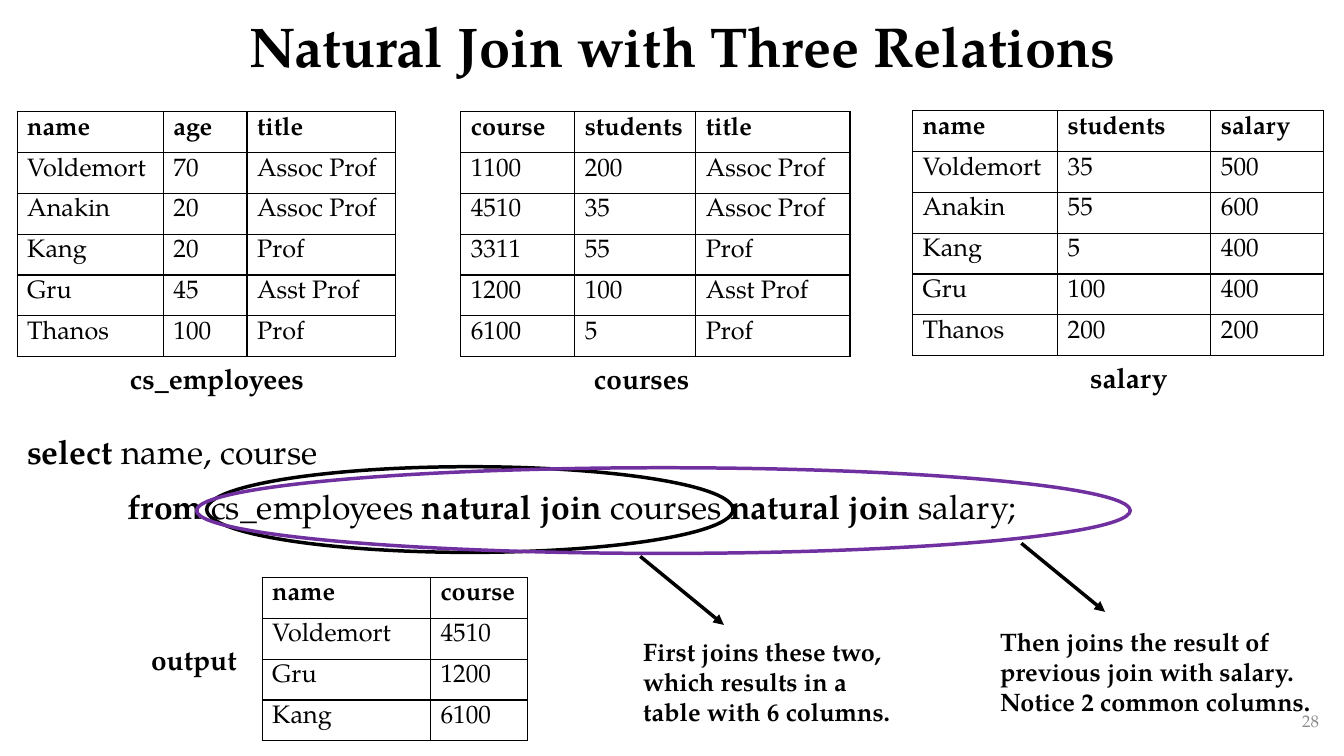
from lxml.etree import SubElement
from pptx import Presentation
from pptx.dml.color import RGBColor
from pptx.enum.shapes import MSO_CONNECTOR as Connector, MSO_SHAPE as Shape
from pptx.enum.text import MSO_ANCHOR as Anchor, PP_ALIGN as Align
from pptx.oxml.ns import qn
from pptx.util import Inches, Pt

FONT = "TeX Gyre Pagella"
BLACK, PURPLE, GRAY = "000000", "7030A0", "8C8C8C"
ROW_HEIGHT = 0.405

EMPLOYEES = [
    ("name", "age", "title"),
    ("Voldemort", "70", "Assoc Prof"),
    ("Anakin", "20", "Assoc Prof"),
    ("Kang", "20", "Prof"),
    ("Gru", "45", "Asst Prof"),
    ("Thanos", "100", "Prof"),
]
COURSES = [
    ("course", "students", "title"),
    ("1100", "200", "Assoc Prof"),
    ("4510", "35", "Assoc Prof"),
    ("3311", "55", "Prof"),
    ("1200", "100", "Asst Prof"),
    ("6100", "5", "Prof"),
]
SALARY = [
    ("name", "students", "salary"),
    ("Voldemort", "35", "500"),
    ("Anakin", "55", "600"),
    ("Kang", "5", "400"),
    ("Gru", "100", "400"),
    ("Thanos", "200", "200"),
]
OUTPUT = [("name", "course"), ("Voldemort", "4510"), ("Gru", "1200"), ("Kang", "6100")]

QUERY = [
    [("select", True), (" name, course", False)],
    [("from ", True), ("cs_employees ", False), ("natural join", True),
     (" courses ", False), ("natural join", True), (" salary;", False)],
]


def color(value):
    return RGBColor.from_string(value)


def set_all(target, **values):
    for key, value in values.items():
        setattr(target, key, value)


def add_span(para, text, size, bold=True, fill=BLACK):
    span = para.add_run()
    span.text = text
    set_all(span.font, name=FONT, size=Pt(size), bold=bold)
    span.font.color.rgb = color(fill)


def add_box(page, place, anchor=Anchor.TOP):
    frame = page.shapes.add_textbox(*map(Inches, place)).text_frame
    set_all(frame, word_wrap=True, vertical_anchor=anchor)
    return frame


def add_label(page, place, text, size, align=Align.LEFT, anchor=Anchor.TOP,
              bold=True, fill=BLACK, spacing=1.0):
    para = add_box(page, place, anchor).paragraphs[0]
    set_all(para, alignment=align, line_spacing=spacing)
    add_span(para, text, size, bold, fill)


def add_query(page):
    frame = add_box(page, (0.17, 4.23, 12.25, 2.03))
    for index, spans in enumerate(QUERY):
        para = frame.add_paragraph() if index else frame.paragraphs[0]
        para.alignment = Align.JUSTIFY
        if index:
            para.space_before = Pt(10)
            para._p.get_or_add_pPr().set("marL", str(Inches(1)))
        for text, bold in spans:
            add_span(para, text, 24, bold)


def add_borders(cell):
    properties = cell._tc.get_or_add_tcPr()
    for side in ("lnL", "lnR", "lnT", "lnB"):
        line = SubElement(properties, qn(f"a:{side}"), w=str(Pt(1)))
        SubElement(SubElement(line, qn("a:solidFill")), qn("a:srgbClr"), val=BLACK)


def add_relation(page, left, top, widths, rows):
    height = ROW_HEIGHT * len(rows)
    place = map(Inches, (left, top, sum(widths), height))
    table = page.shapes.add_table(len(rows), len(widths), *place).table
    set_all(table, first_row=False, horz_banding=False)
    for column, width in zip(table.columns, widths):
        column.width = Inches(width)
    for row_index, values in enumerate(rows):
        table.rows[row_index].height = Inches(ROW_HEIGHT)
        for column_index, value in enumerate(values):
            cell = table.cell(row_index, column_index)
            add_borders(cell)
            cell.fill.background()
            add_span(cell.text_frame.paragraphs[0], value, 18, row_index == 0)


def add_ring(page, place, stroke):
    ring = page.shapes.add_shape(Shape.OVAL, *map(Inches, place))
    ring.shadow.inherit = False
    ring.fill.background()
    ring.line.color.rgb = color(stroke)
    ring.line.width = Pt(2.5)


def add_arrow(page, left, top):
    ends = map(Inches, (left, top, left + 0.83, top + 0.68))
    arrow = page.shapes.add_connector(Connector.STRAIGHT, *ends)
    arrow.line.color.rgb = color(BLACK)
    arrow.line.width = Pt(2.5)
    SubElement(arrow.line._get_or_add_ln(), qn("a:tailEnd"), type="triangle")
    SubElement(arrow._element.spPr, qn("a:effectLst"))


def main():
    deck = Presentation()
    set_all(deck, slide_width=Inches(13.33), slide_height=Inches(7.5))
    page = deck.slides.add_slide(deck.slide_layouts[6])

    add_query(page)
    add_label(page, (10.18, 6.95, 3, 0.4), "28", 12, Align.RIGHT, Anchor.MIDDLE, False, GRAY)
    add_label(page, (1.02, 0, 11.5, 0.98), "Natural Join with Three Relations", 40,
              Align.CENTER, Anchor.MIDDLE, spacing=0.9)

    add_relation(page, 0.17, 1.11, (1.45, 0.83, 1.47), EMPLOYEES)
    add_relation(page, 4.57, 1.11, (1.13, 1.2, 1.53), COURSES)
    add_relation(page, 9.05, 1.1, (1.44, 1.52, 1.12), SALARY)
    add_relation(page, 2.6, 5.73, (1.67, 0.96), OUTPUT)

    add_label(page, (1.19, 3.54, 2.01, 0.44), "cs_employees", 20)
    add_label(page, (5.36, 3.54, 2.01, 0.44), "courses", 20, Align.CENTER)
    add_label(page, (10.19, 3.53, 2.01, 0.44), "salary", 20, Align.CENTER)
    add_label(page, (1.4, 6.33, 1.21, 0.44), "output", 20)

    add_ring(page, (2.05, 4.63, 5.22, 0.85), BLACK)
    add_arrow(page, 6.35, 5.52)
    add_label(page, (6.28, 6.26, 2.76, 1.01),
              "First joins these two, which results in a table with 6 columns.", 18)
    add_ring(page, (1.95, 4.64, 9.26, 0.85), PURPLE)
    add_arrow(page, 10.13, 5.39)
    add_label(page, (9.82, 6.16, 3.47, 1.01),
              "Then joins the result of previous join with salary. Notice 2 common columns.", 18)

    deck.save("out.pptx")


if __name__ == "__main__":
    main()
